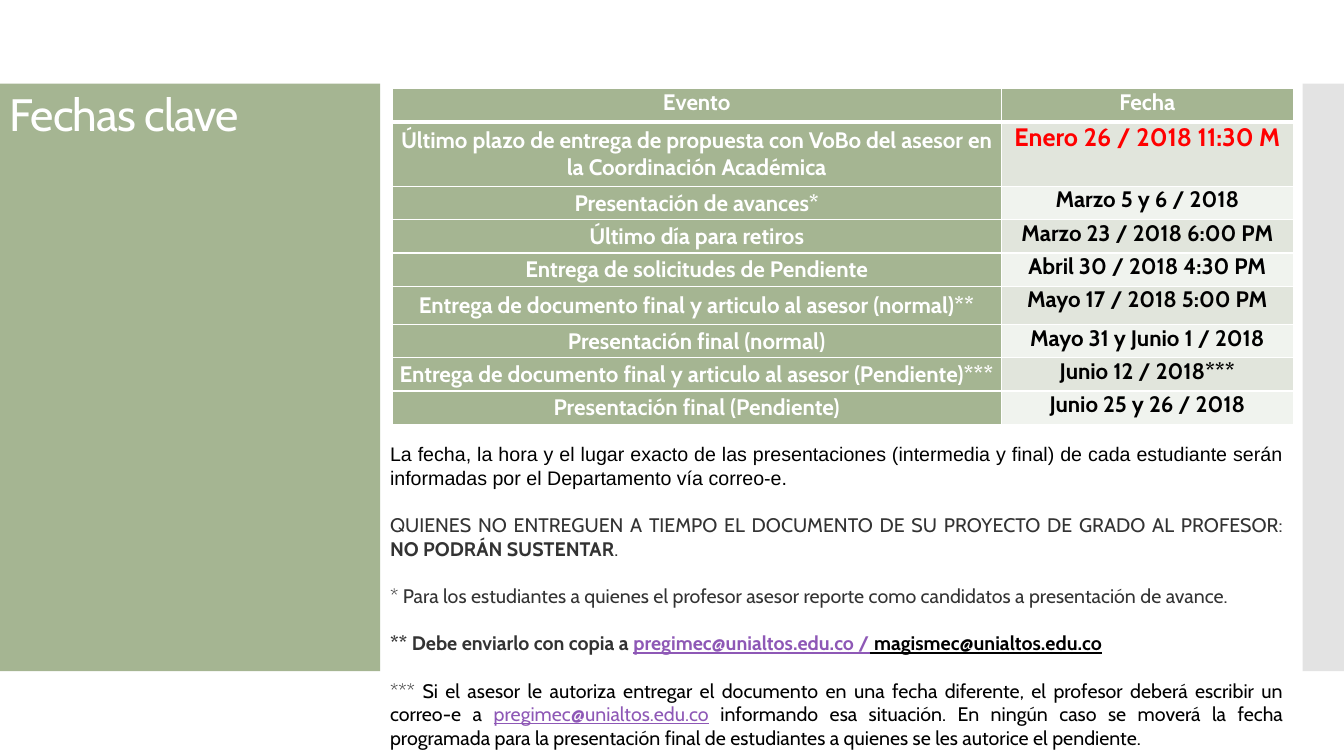
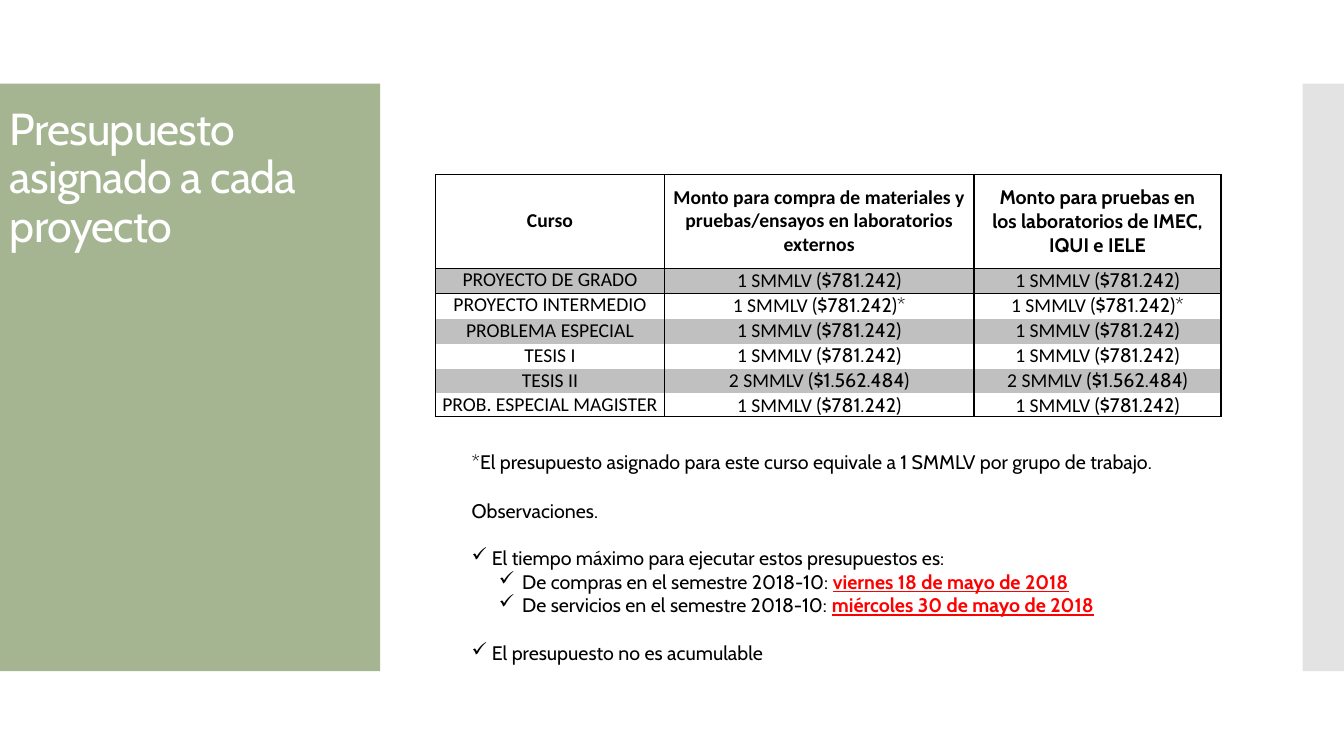
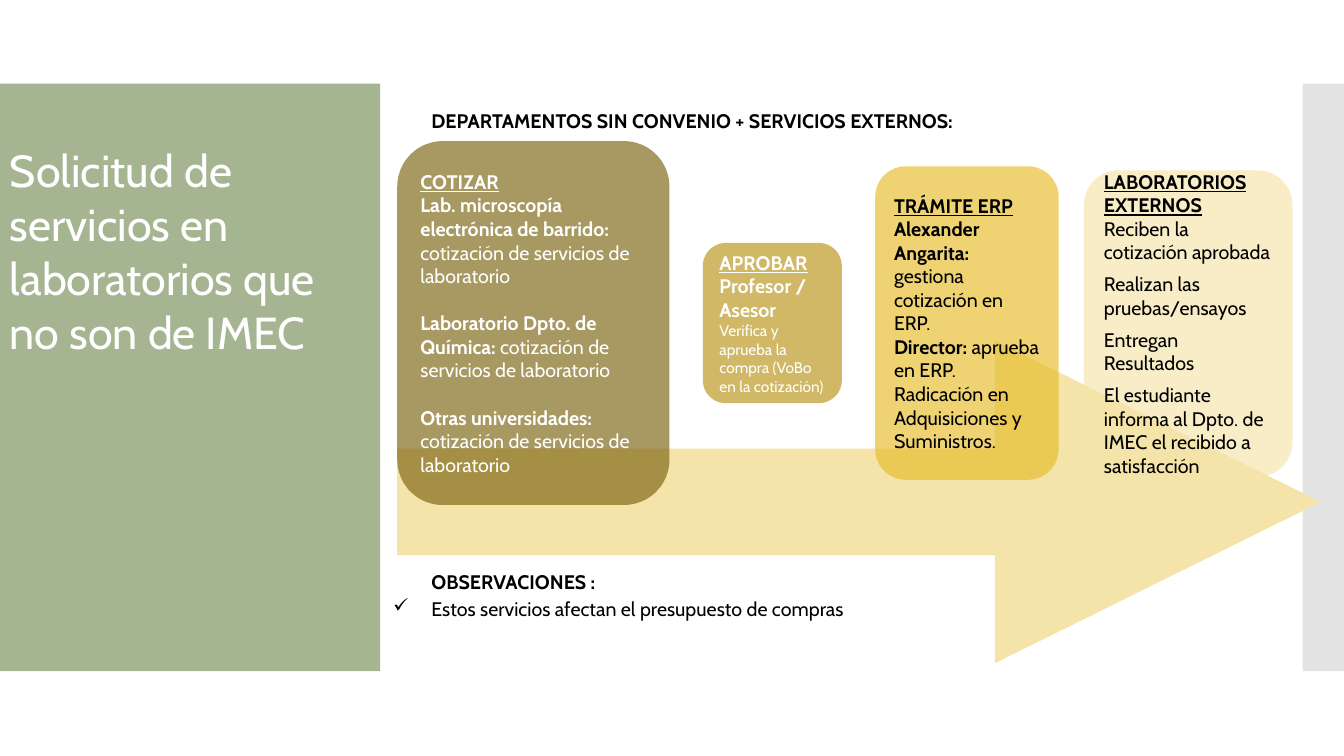
from lxml.etree import SubElement
from pptx import Presentation
from pptx.dml.color import RGBColor
from pptx.enum.shapes import MSO_SHAPE as Preset
from pptx.enum.text import MSO_ANCHOR as Anchor, PP_ALIGN as Align
from pptx.oxml.ns import qn
from pptx.util import Inches, Pt

TITLES = {
    "dates": ("Fechas clave", (0, 0.88, 3.59, 0.55), 32.4, 0.9, -60),
    "budget": ("Presupuesto asignado a cada proyecto", (0, 0.91, 3.56, 1.74), 32, 0.9, -60),
    "services": ("Solicitud de servicios en laboratorios que no son de IMEC",
                 (0, 0.83, 3.62, 3.31), 32, 1.0, 0),
}

EVENTS = [
    ("Evento", "Fecha", 0.33),
    ("Último plazo de entrega de propuesta con VoBo del asesor en la Coordinación Académica",
     "Enero 26 / 2018 11:30 M", 0.64),
    ("Presentación de avances*", "Marzo 5 y 6 / 2018", 0.33),
    ("Último día para retiros", "Marzo 23 / 2018 6:00 PM", 0.33),
    ("Entrega de solicitudes de Pendiente", "Abril 30 / 2018 4:30 PM", 0.33),
    ("Entrega de documento final y articulo al asesor (normal)**", "Mayo 17 / 2018 5:00 PM", 0.38),
    ("Presentación final (normal)", "Mayo 31 y Junio 1 / 2018", 0.33),
    ("Entrega de documento final y articulo al asesor (Pendiente)***", "Junio 12 / 2018***", 0.33),
    ("Presentación final (Pendiente)", "Junio 25 y 26 / 2018", 0.33),
]

DATE_NOTES = [
    ("plain", [("La fecha, la hora y el lugar exacto de las presentaciones (intermedia y final) de cada "
                "estudiante serán informadas por el Departamento vía correo-e.", "notice")]),
    ("gap", [("QUIENES NO ENTREGUEN A TIEMPO EL DOCUMENTO DE SU PROYECTO DE GRADO AL PROFESOR: ", "soft"),
             ("NO PODRÁN SUSTENTAR", "soft bold"), (".", "soft")]),
    ("gap", [("* Para los estudiantes a quienes el profesor asesor reporte como candidatos a "
              "presentación de avance.", "soft")]),
    ("gap", [("** Debe enviarlo con copia a ", "soft bold"),
             ("pregimec@unialtos.edu.co /", "mail bold"),
             (" magismec@unialtos.edu.co", "bold under")]),
    ("gap", [("*** ", "soft"),
             ("Si el asesor le autoriza entregar el documento en una fecha diferente, el profesor "
              "deberá escribir un correo-e a ", ""),
             ("pregimec@unialtos.edu.co", "mail"),
             (" informando esa situación. En ningún caso se moverá la fecha programada para la "
              "presentación final de estudiantes a quienes se les autorice el pendiente.", "")]),
]

BUDGET_HEADS = [
    [("Curso", "bold calibri")],
    [("Monto para compra de materiales y pruebas/ensayos en laboratorios externos", "bold calibri")],
    [("Monto para pruebas en", "bold"), ("los laboratorios de IMEC, IQUI e IELE", "bold")],
]
BUDGETS = [
    ("PROYECTO DE GRADO", "1 SMMLV ", "($781.242)", 0.25),
    ("PROYECTO INTERMEDIO", "1 SMMLV ", "($781.242)*", 0.25),
    ("PROBLEMA ESPECIAL", "1 SMMLV ", "($781.242)", 0.25),
    ("TESIS I", "1 SMMLV ", "($781.242)", 0.25),
    ("TESIS II", "2 SMMLV ", "($1.562.484)", 0.24),
    ("PROB. ESPECIAL MAGISTER", "1 SMMLV ", "($781.242)", 0.22),
]
GROUP_NOTE = [("plain", [("*El presupuesto asignado para este curso equivale a 1 SMMLV por grupo "
                          "de trabajo.", "")])]
REMARKS = [
    ("plain", [("Observaciones.", "")]),
    ("check gap", [("El tiempo máximo para ejecutar estos presupuestos es:", "")]),
    ("subcheck", [("De compras en el semestre 2018-10: ", ""),
                  ("viernes 18 de mayo de 2018", "alert bold under")]),
    ("subcheck", [("De servicios en el semestre 2018-10: ", ""),
                  ("miércoles 30 de mayo de 2018", "alert bold under")]),
    ("check gap", [("El presupuesto no es acumulable", "")]),
]

SERVICES_HEAD = [("hang", [("DEPARTAMENTOS SIN CONVENIO + SERVICIOS EXTERNOS:", "bold")])]
SERVICES_NOTES = [
    ("hang", [("OBSERVACIONES :", "bold")]),
    ("widecheck", [("Estos servicios afectan el presupuesto de compras", "")]),
]
STEPS = [
    ("quote", "white", (3.94, 1.4, 2.7, 3.61), [
        ("plain", [("COTIZAR", "bold under")]),
        ("plain", [("Lab. microscopía electrónica de barrido: ", "bold"),
                   ("cotización de servicios de laboratorio", "")]),
        ("gap", [("Laboratorio Dpto. de Química: ", "bold"),
                 ("cotización de servicios de laboratorio", "")]),
        ("gap", [("Otras universidades:", "bold")]),
        ("plain", [("cotización de servicios de laboratorio", "")]),
    ]),
    ("approve", "white", (6.97, 2.41, 1.38, 1.59), [
        ("plain", [("APROBAR", "bold under")]),
        ("plain", [("Profesor / Asesor", "bold")]),
        ("plain", [("Verifica y aprueba la compra (VoBo en la cotización)", "small")]),
    ]),
    ("process", "black", (8.68, 1.65, 1.82, 3.11), [
        ("plain", [("TRÁMITE ERP", "bold under")]),
        ("plain", [("Alexander Angarita: ", "bold"), ("gestiona cotización en ERP.", "")]),
        ("plain", [("Director: ", "bold"), ("aprueba en ERP.", "")]),
        ("plain", [("Radicación en Adquisiciones y Suministros.", "")]),
    ]),
    ("external", "black", (10.75, 1.69, 2.07, 3.04), [
        ("plain", [("LABORATORIOS EXTERNOS", "bold under")]),
        ("plain", [("Reciben la cotización aprobada", "")]),
        ("smallgap", [("Realizan las pruebas/ensayos", "")]),
        ("smallgap", [("Entregan Resultados", "")]),
        ("smallgap", [("El estudiante informa al Dpto. de IMEC el recibido a satisfacción", "")]),
    ]),
]


class Theme:
    colors = {
        "white": "FFFFFF", "black": "000000", "green": "A5B592", "side": "C8C8C8",
        "soft": "333333", "mail": "8E58B6", "alert": "FF0000",
        "odd": "E1E5DC", "even": "F0F3EE", "stripe": "C0C0C0",
        "quote": "7A620E", "approve": "B79315", "process": "E7BC29", "external": "F5E4A9",
    }
    body = {"name": "Cabin", "size": Pt(14), "bold": False, "color": "black"}
    styles = {
        "bold": {"bold": True}, "under": {"underline": True},
        "soft": {"color": "soft"}, "mail": {"color": "mail", "underline": True},
        "alert": {"color": "alert"}, "white": {"color": "white"},
        "notice": {"name": "Arial"}, "calibri": {"name": "Calibri"},
        "small": {"size": Pt(11)}, "event": {"size": Pt(16)}, "deadline": {"size": Pt(18)},
    }
    spacing = {"gap": Pt(17), "smallgap": Pt(6), "widecheck": Pt(3)}
    indents = {"check": (0.2, -0.2), "subcheck": (0.5, -0.23),
               "widecheck": (0.38, -0.38), "hang": (0.38, 0)}
    check = "✓"


def rgb(name):
    return RGBColor.from_string(Theme.colors[name])


def paint(fill, color, opacity=100):
    fill.solid()
    fill.fore_color.rgb = rgb(color)
    if opacity < 100:
        tone = fill._xPr.find(".//" + qn("a:srgbClr"))
        SubElement(tone, qn("a:alpha"), val=str(opacity * 1000))


def write(frame, paragraphs, base=None, alignment=Align.LEFT):
    frame.word_wrap = True
    for number, (layout, runs) in enumerate(paragraphs):
        line = frame.paragraphs[0] if number == 0 else frame.add_paragraph()
        line.alignment = alignment
        for key in layout.split():
            if key in Theme.spacing:
                line.space_before = Theme.spacing[key]
            if key in Theme.indents:
                margin, first = Theme.indents[key]
                props = line._p.get_or_add_pPr()
                props.set("marL", str(Inches(margin)))
                props.set("indent", str(Inches(first)))
                if first:
                    SubElement(props, qn("a:buChar"), char=Theme.check)
        for text, names in runs:
            run = line.add_run()
            run.text = text
            look = {**Theme.body, **(base or {})}
            for name in names.split():
                look.update(Theme.styles[name])
            for key, value in look.items():
                if key == "color":
                    run.font.color.rgb = rgb(value)
                else:
                    setattr(run.font, key, value)


def add_block(slide, place, fill, preset=Preset.RECTANGLE, opacity=100):
    block = slide.shapes.add_shape(preset, *map(Inches, place))
    block.shadow.inherit = False
    block.line.fill.background()
    paint(block.fill, fill, opacity)
    return block


def add_text(slide, place, paragraphs, anchor=Anchor.TOP, **options):
    frame = slide.shapes.add_textbox(*map(Inches, place)).text_frame
    frame.vertical_anchor = anchor
    write(frame, paragraphs, **options)
    return frame


def start_slide(deck, key):
    slide = deck.slides.add_slide(deck.slide_layouts[6])
    add_block(slide, (0, 0.83, 3.77, 5.83), "green")
    add_block(slide, (12.92, 0.83, 0.42, 5.83), "side", opacity=50)
    text, place, size, leading, tracking = TITLES[key]
    frame = add_text(slide, place, [("plain", [(text, "white")])], Anchor.MIDDLE,
                     base={"size": Pt(size)})
    line = frame.paragraphs[0]
    line.line_spacing = leading
    if tracking:
        line.runs[0]._r.get_or_add_rPr().set("spc", str(tracking))
    return slide


def add_grid(slide, corner, widths, heights):
    size = sum(widths), sum(heights)
    grid = slide.shapes.add_table(len(heights), len(widths), *map(Inches, corner + size)).table
    grid.first_row = grid.horz_banding = False
    grid._tbl.tblPr.find(qn("a:tableStyleId")).text = "{2D5ABB26-0587-4C30-8999-92F81FD0307C}"
    for column, width in zip(grid.columns, widths):
        column.width = Inches(width)
    for row, height in zip(grid.rows, heights):
        row.height = Inches(height)
    return grid


def fill_cell(cell, paragraphs, fill, borders, color, side, anchor, base=None):
    insets = {"margin_left": side, "margin_right": side, "margin_top": 0, "margin_bottom": 0}
    for key, value in insets.items():
        setattr(cell, key, Inches(value))
    cell.vertical_anchor = anchor
    props = cell._tc.get_or_add_tcPr()
    for edge in "LRTB":
        if edge in borders:
            line = SubElement(props, qn("a:ln" + edge), w=str(Pt(borders[edge])))
            tone = SubElement(line, qn("a:solidFill"))
            SubElement(tone, qn("a:srgbClr"), val=Theme.colors[color])
    if fill:
        paint(cell.fill, fill)
    else:
        cell.fill.background()
    write(cell.text_frame, paragraphs, base, Align.CENTER)


def build_dates(deck):
    slide = start_slide(deck, "dates")
    add_text(slide, (3.77, 4.33, 9.06, 3.16), DATE_NOTES, Anchor.MIDDLE, alignment=Align.JUSTIFY)
    grid = add_grid(slide, (3.89, 0.88), (6.04, 2.9), [event[2] for event in EVENTS])
    for row, (event, date, _) in enumerate(EVENTS):
        borders = {"L": 1, "R": 1, "T": 3 if row == 1 else 1, "B": 1 if row else 3}
        date_style = "white" if row == 0 else "deadline alert" if row == 1 else ""
        date_fill = "green" if row == 0 else "odd" if row % 2 else "even"
        anchor = Anchor.MIDDLE if row else Anchor.TOP
        columns = [(event, "white", "green", anchor), (date, date_style, date_fill, Anchor.TOP)]
        for column, (text, style, fill, place) in enumerate(columns):
            fill_cell(grid.cell(row, column), [("plain", [(text, "event bold " + style)])],
                      fill, borders, "white", 0.07, place)


def build_budget(deck):
    slide = start_slide(deck, "budget")
    add_text(slide, (4.58, 4.41, 7.38, 0.34), GROUP_NOTE, Anchor.MIDDLE)
    add_text(slide, (4.58, 4.9, 7.38, 1.75), REMARKS)
    rows = [[[("plain", [line]) for line in head] for head in BUDGET_HEADS]]
    for course, wages, pesos, _ in BUDGETS:
        amount = [("plain", [(wages, "calibri"), (pesos, "")])]
        rows.append([[("plain", [(course, "calibri")])], amount, amount])
    heights = [0.93] + [budget[3] for budget in BUDGETS]
    grid = add_grid(slide, (4.32, 1.73), (2.27, 3.07, 2.45), heights)
    for row, cells in enumerate(rows):
        borders = {"L": 1, "R": 1}
        if row < 2:
            borders["T"] = 1
        if row in (0, len(BUDGETS)):
            borders["B"] = 1
        for column, paragraphs in enumerate(cells):
            fill_cell(grid.cell(row, column), paragraphs, "stripe" if row % 2 else None,
                      borders, "black", 0.04, Anchor.TOP if row else Anchor.MIDDLE)


def build_services(deck):
    slide = start_slide(deck, "services")
    arrow = add_block(slide, (3.94, 3.38, 9.16, 3.2), "external", Preset.RIGHT_ARROW)
    arrow.adjustments[0], arrow.adjustments[1] = 0.33, 1.01
    for fill, color, place, paragraphs in STEPS:
        step = add_block(slide, place, fill, Preset.ROUNDED_RECTANGLE, 65)
        step.text_frame.vertical_anchor = Anchor.MIDDLE
        write(step.text_frame, paragraphs, {"color": color})
    add_text(slide, (3.8, 1.03, 8.82, 0.28), SERVICES_HEAD)
    add_text(slide, (3.8, 5.6, 8.82, 1.65), SERVICES_NOTES)


def main():
    deck = Presentation()
    deck.slide_width, deck.slide_height = Inches(13.33), Inches(7.5)
    for build in (build_dates, build_budget, build_services):
        build(deck)
    deck.save("out.pptx")


if __name__ == "__main__":
    main()
